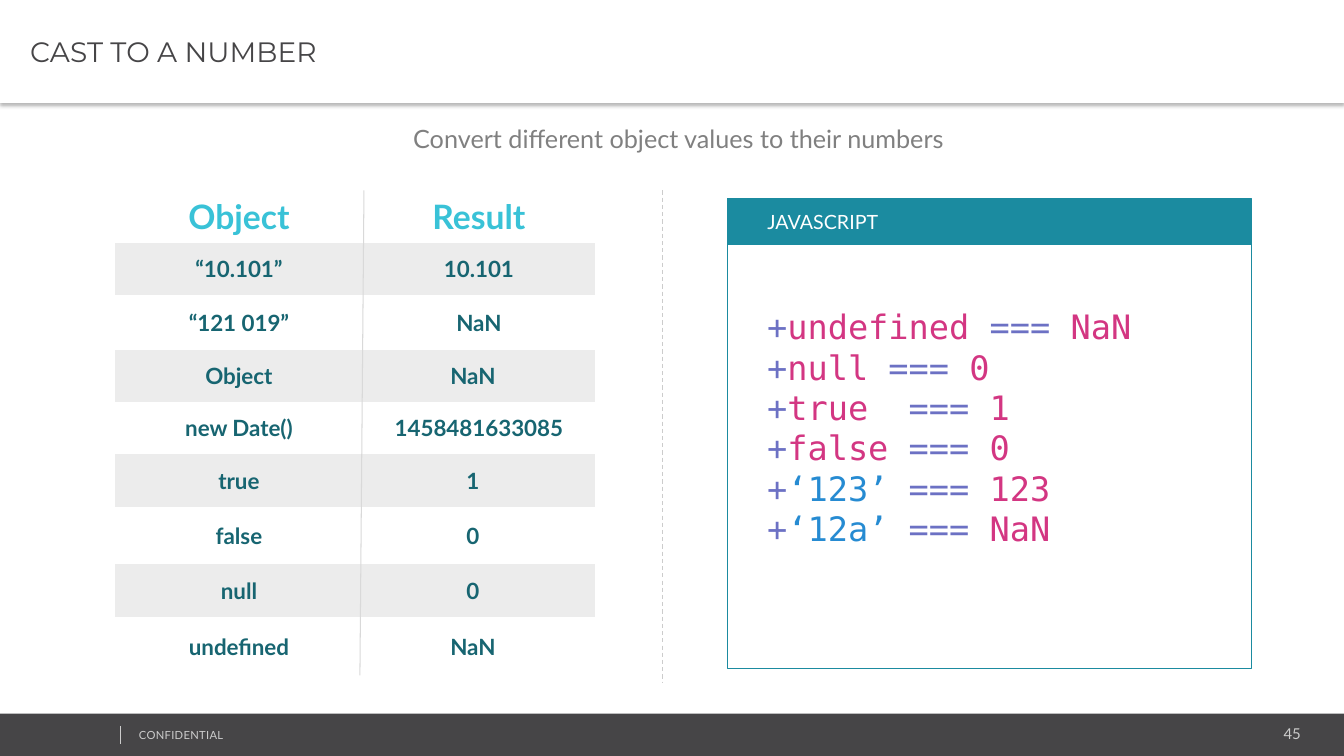
from itertools import product

from lxml import etree
from pptx import Presentation
from pptx.dml.color import RGBColor
from pptx.enum.dml import MSO_LINE_DASH_STYLE as Dash
from pptx.enum.shapes import MSO_CONNECTOR as Connector, MSO_SHAPE as Shape
from pptx.enum.text import MSO_ANCHOR as Anchor, PP_ALIGN as Align
from pptx.oxml import parse_xml
from pptx.oxml.ns import nsdecls, qn
from pptx.util import Inches, Pt

WIDTH, HEIGHT = 13.33, 7.5
COLORS = {
    "white": "FFFFFF", "dark": "464547", "pale": "CCCCCC", "rule": "D9D9D9",
    "band": "ECECEC", "subtitle": "808080", "heading": "39C2D7",
    "cell": "176571", "panel": "1B8BA0",
    "operator": "6C71C4", "keyword": "D33682", "string": "268BD2",
}
NO_STYLE = "{2D5ABB26-0587-4C30-8999-92F81FD0307C}"

# Object, result, right inset of the result cell
ROWS = [
    ("Object", "Result", 0.1),
    ("“10.101”", "10.101", 0.1),
    ("“121 019”", "NaN", 0.1),
    ("Object", "NaN", 0.22),
    ("new Date()", "1458481633085", 0.1),
    ("true", "1", 0.22),
    ("false", "0", 0.22),
    ("null", "0", 0.22),
    ("undefined", "NaN", 0.22),
]
ROW_HEIGHTS = [0.52, 0.52, 0.54, 0.52, 0.52, 0.52, 0.57, 0.52, 0.6]
COLUMN_WIDTHS = [2.46, 2.3]

# Operand, operand colour, result
CODE = [
    ("undefined ", "keyword", "NaN"),
    ("null ", "keyword", "0"),
    ("true  ", "keyword", "1"),
    ("false ", "keyword", "0"),
    ("‘123’ ", "string", "123"),
    ("‘12a’ ", "string", "NaN"),
]


def color(name):
    return RGBColor.from_string(COLORS[name])


def add_run(paragraph, text, size, tint, font="Lato", bold=False):
    run = paragraph.add_run()
    run.text = text
    run.font.size, run.font.name, run.font.bold = Pt(size), font, bold
    run.font.color.rgb = color(tint)
    return run


def add_text(slide, box, text, size, tint, align=Align.LEFT):
    shape = slide.shapes.add_textbox(*map(Inches, box))
    shape.text_frame.word_wrap = True
    paragraph = shape.text_frame.paragraphs[0]
    paragraph.alignment = align
    return add_run(paragraph, text, size, tint)


def add_rectangle(slide, box, fill=None, line=None):
    shape = slide.shapes.add_shape(Shape.RECTANGLE, *map(Inches, box))
    shape.shadow.inherit = False
    if fill:
        shape.fill.solid()
        shape.fill.fore_color.rgb = color(fill)
    else:
        shape.fill.background()
    if line:
        shape.line.color.rgb = color(line)
        shape.line.width = Pt(0.75)
    else:
        shape.line.fill.background()
    return shape


def add_line(slide, start, end, tint, width=0.75, dash=None):
    line = slide.shapes.add_connector(Connector.STRAIGHT, *map(Inches, start + end))
    line.line.color.rgb = color(tint)
    line.line.width = Pt(width)
    if dash:
        line.line.dash_style = dash
    etree.SubElement(line._element.spPr, qn("a:effectLst"))


def add_label(shape, text, size, tint, left, font="Lato"):
    frame = shape.text_frame
    frame.word_wrap = True
    frame.vertical_anchor = Anchor.MIDDLE
    frame.margin_left = Inches(left)
    paragraph = frame.paragraphs[0]
    paragraph.alignment = Align.LEFT
    add_run(paragraph, text, size, tint, font)


def build_title(slide, box):
    bar = add_rectangle(slide, box, "white")
    add_label(bar, "CAST TO A NUMBER", 20, "dark", 0.3, "Montserrat")
    # Soft shadow under the bar
    properties = bar._element.spPr
    properties.remove(properties.find(qn("a:effectLst")))
    properties.append(parse_xml(
        f'<a:effectLst {nsdecls("a")}>'
        f'<a:outerShdw blurRad="{Pt(3.1)}" dist="{Pt(2)}" dir="5400000" rotWithShape="0">'
        '<a:srgbClr val="000000"><a:alpha val="30000"/></a:srgbClr>'
        '</a:outerShdw></a:effectLst>'))


def build_footer(slide, box):
    left, top, width, height = box
    add_rectangle(slide, box, "dark")
    add_line(slide, (left + 1.19, top + 0.12), (left + 1.19, top + 0.3), "pale", 0.25)
    label = add_text(slide, (left + 1.28, top + 0.1, 3.38, 0.24), "CONFIDENTIAL", 8, "pale")
    label._r.get_or_add_rPr().set("spc", "20")
    add_text(slide, (left + width - 2.51, top + 0.06, 2.18, 0.28), "45", 10.7, "pale", Align.RIGHT)


def build_table(slide, box):
    left, top, width, height = box
    frame = slide.shapes.add_table(len(ROWS), len(COLUMN_WIDTHS), *map(Inches, box))
    table = frame.table
    table._tbl.tblPr.find(qn("a:tableStyleId")).text = NO_STYLE
    for row, row_height in zip(table.rows, ROW_HEIGHTS):
        row.height = Inches(row_height)
    for column, column_width in zip(table.columns, COLUMN_WIDTHS):
        column.width = Inches(column_width)
    for r, c in product(range(len(ROWS)), range(len(COLUMN_WIDTHS))):
        cell = table.cell(r, c)
        # Every second row is banded
        if r % 2:
            cell.fill.solid()
            cell.fill.fore_color.rgb = color("band")
        else:
            cell.fill.background()
        cell.vertical_anchor = Anchor.MIDDLE
        cell.margin_right = Inches(ROWS[r][2] if c else 0.1)
        paragraph = cell.text_frame.paragraphs[0]
        paragraph.alignment = Align.CENTER
        size, tint = (16, "cell") if r else (24, "heading")
        add_run(paragraph, ROWS[r][c], size, tint, bold=True)
    # Column divider leans slightly to the left
    split = left + COLUMN_WIDTHS[0]
    add_line(slide, (split + 0.01, top), (split - 0.03, top + height - 0.02), "rule")


def build_code_panel(slide, box):
    left, top, width, height = box
    header_height = 0.46
    header = add_rectangle(slide, (left, top, width, header_height), "panel", "panel")
    add_label(header, "JAVASCRIPT", 14, "white", 0.39)
    body = (left, top + header_height, width, height - header_height)
    add_rectangle(slide, body, line="panel")
    # Code lines
    code_box = (left + 0.29, top + 1.02, 3.97, 2.56)
    frame = slide.shapes.add_textbox(*map(Inches, code_box)).text_frame
    frame.word_wrap = True
    for index, (operand, tint, result) in enumerate(CODE):
        paragraph = frame.add_paragraph() if index else frame.paragraphs[0]
        for text, run_tint in (("+", "operator"), (operand, tint),
                               ("=== ", "operator"), (result, "keyword")):
            add_run(paragraph, text, 24, run_tint, "DejaVu Sans Mono")


def main():
    presentation = Presentation()
    presentation.slide_width, presentation.slide_height = Inches(WIDTH), Inches(HEIGHT)
    slide = presentation.slides.add_slide(presentation.slide_layouts[6])
    build_footer(slide, (0, 7.08, WIDTH, HEIGHT - 7.08))
    add_text(slide, (3.86, 1.17, 5.74, 0.4), "Convert different object values to their numbers",
             18, "subtitle", Align.CENTER)
    build_table(slide, (1.14, 1.89, sum(COLUMN_WIDTHS), sum(ROW_HEIGHTS)))
    add_line(slide, (6.57, 1.89), (6.57, 6.78), "pale", dash=Dash.DASH)
    build_code_panel(slide, (7.22, 1.97, 5.19, 4.66))
    build_title(slide, (0, 0, WIDTH, 1.02))
    presentation.save("out.pptx")


if __name__ == "__main__":
    main()
